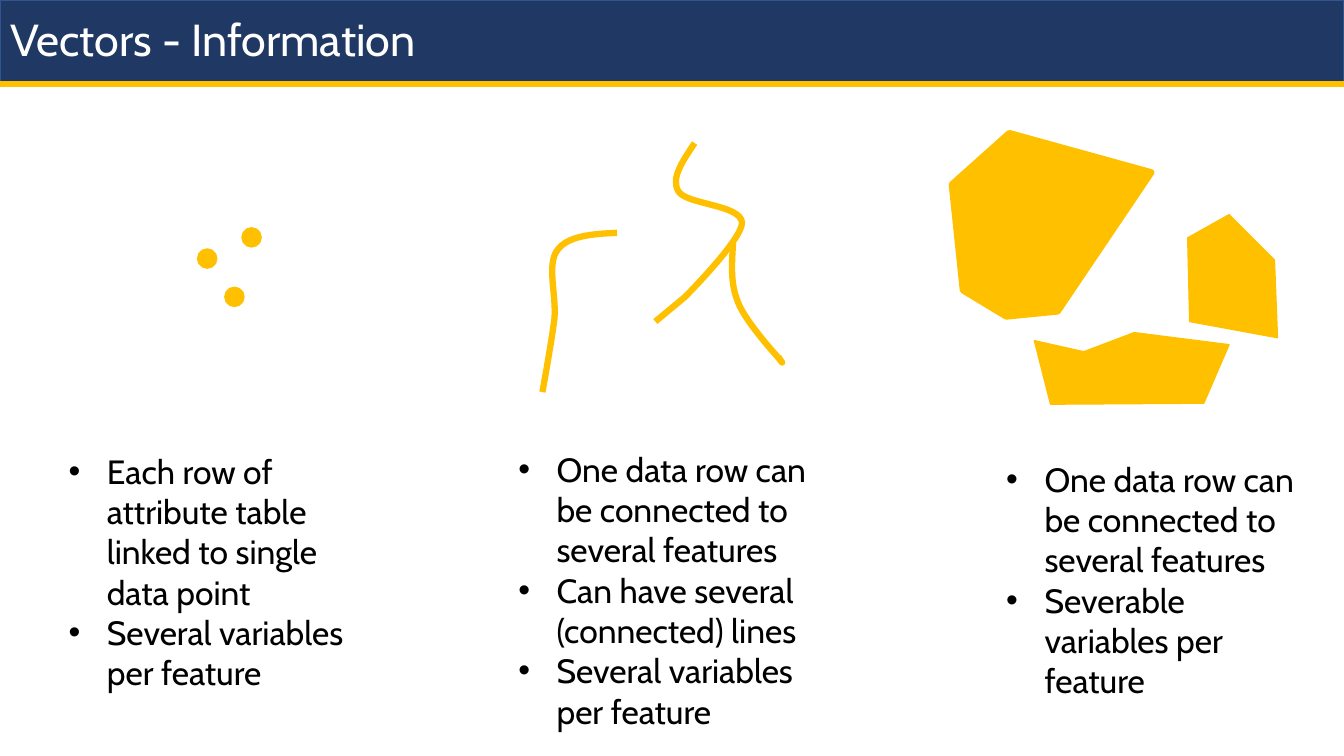
from lxml.etree import SubElement
from pptx import Presentation
from pptx.dml.color import RGBColor
from pptx.enum.shapes import MSO_CONNECTOR, MSO_SHAPE
from pptx.enum.text import MSO_ANCHOR, MSO_AUTO_SIZE, PP_ALIGN
from pptx.oxml.ns import qn
from pptx.util import Inches, Pt

NAVY, NAVY_EDGE, GOLD = "203864", "325491", "FFC000"
WHITE, BLACK = "FFFFFF", "000000"
SLIDE_W, SLIDE_H = 13.33, 7.5

DOTS = [(0.44, 0), (0, 0.21), (0.27, 0.59)]
CURVES = [
    [(1.51, 0), (1.39, 0.18), (1.27, 0.35), (1.35, 0.48),
     (1.43, 0.61), (1.97, 0.61), (1.98, 0.79),
     (1.98, 0.96), (1.41, 1.53), (1.41, 1.53),
     (1.41, 1.53), (1.12, 1.77), (1.12, 1.77)],
    [(0.74, 0.89), (0.5, 0.9), (0.25, 0.92), (0.15, 1.06),
     (0.04, 1.2), (0.14, 1.51), (0.12, 1.74),
     (0.09, 1.98), (0, 2.47), (0, 2.47)],
    [(1.89, 0.99), (1.88, 1.19), (1.86, 1.39), (1.94, 1.58),
     (2.01, 1.77), (2.34, 2.13), (2.34, 2.13),
     (2.41, 2.22), (2.37, 2.17), (2.34, 2.12)],
]
POLYGONS = [
    (4.5, [(0.57, 0), (0, 0.51), (0.11, 1.56), (0.54, 1.82), (1.05, 1.77), (1.98, 0.39)]),
    (1, [(2.34, 1.04), (2.75, 0.81), (3.2, 1.26), (3.23, 2.03), (2.36, 1.87)]),
    (1, [(0.82, 2.06), (1.31, 2.17), (1.81, 1.98), (2.75, 2.1), (2.5, 2.68), (0.98, 2.69)]),
]
LISTS = [
    (1, (0.58, 4.42, 3.08, 2.52),
     ["Each row of attribute table linked to single data point",
      "Several variables per feature"]),
    (2, (5.04, 4.4, 3.08, 3.33),
     ["One data row can be connected to several features",
      "Can have several (connected) lines",
      "Several variables per feature"]),
    (4, (9.88, 4.5, 3.08, 2.52),
     ["One data row can be connected to several features",
      "Severable variables per feature"]),
]


def color(value):
    """Turn a hex string into a colour."""
    return RGBColor.from_string(value)


def place(shape, left, top, width, height):
    """Move and size a shape, in inches."""
    shape.left, shape.top = Inches(left), Inches(top)
    shape.width, shape.height = Inches(width), Inches(height)


def paint(shape, fill, line, width=1):
    """Set fill and outline and drop the shadow."""
    shape.shadow.inherit = False
    if fill:
        shape.fill.solid()
        shape.fill.fore_color.rgb = color(fill)
    else:
        shape.fill.background()
    shape.line.color.rgb = color(line)
    shape.line.width = Pt(width)


def write(p, text, size=24, fill=BLACK, spacing=1.0):
    """Write one formatted run in a paragraph."""
    p.alignment = PP_ALIGN.LEFT
    p.line_spacing = spacing
    p.space_before = Pt(0)
    r = p.add_run()
    r.text = text
    r.font.name, r.font.size, r.font.bold = "Cabin", Pt(size), False
    r.font.color.rgb = color(fill)


def add_bullet(p, indent=0.38):
    """Give a paragraph a hanging round bullet."""
    pPr = p._p.get_or_add_pPr()
    pPr.set("marL", str(Inches(indent)))
    pPr.set("indent", str(-Inches(indent)))
    SubElement(pPr, qn("a:buFont")).set("typeface", "Arial")
    SubElement(pPr, qn("a:buChar")).set("char", "•")


def add_outline(s, left, top, points, close):
    """Draw a freeform through points relative to a corner."""
    spots = [(Inches(left + x), Inches(top + y)) for x, y in points]
    builder = s.shapes.build_freeform(*spots[0])
    builder.add_line_segments(spots[1:], close=close)
    return builder.convert_to_shape()


def bend(shape):
    """Turn each three line segments into one cubic curve."""
    segments = list(shape.element.iter(qn("a:lnTo")))
    for first, second, third in zip(*[iter(segments)] * 3):
        first.tag = qn("a:cubicBezTo")
        for segment in (second, third):
            first.append(segment[0])
            segment.getparent().remove(segment)


def add_header(s, left, top, width, height):
    """Place the title bar with its gold rule."""
    bar = s.shapes.add_shape(MSO_SHAPE.RECTANGLE, Inches(left), Inches(top),
                             Inches(width), Inches(height))
    paint(bar, NAVY, NAVY_EDGE)
    title = s.shapes.title
    title.element.addprevious(bar.element)
    place(title, left, top + 0.09, width + 0.53, 0.65)
    tf = title.text_frame
    tf.vertical_anchor = MSO_ANCHOR.MIDDLE
    tf.auto_size = MSO_AUTO_SIZE.NONE
    write(tf.paragraphs[0], "Vectors - Information", size=32, fill=WHITE, spacing=0.9)
    bottom = Inches(top + height)
    rule = s.shapes.add_connector(MSO_CONNECTOR.STRAIGHT, Inches(left), bottom,
                                  Inches(left + width), bottom)
    rule.line.color.rgb = color(GOLD)
    rule.line.width = Pt(4.5)
    SubElement(rule.element.spPr, qn("a:effectLst"))


def add_dots(s, left, top, size):
    """Place the point features."""
    for x, y in DOTS:
        dot = s.shapes.add_shape(MSO_SHAPE.OVAL, Inches(left + x), Inches(top + y),
                                 Inches(size), Inches(size))
        paint(dot, GOLD, GOLD)


def add_curves(s, left, top):
    """Place the line features."""
    for points in CURVES:
        curve = add_outline(s, left, top, points, close=False)
        bend(curve)
        paint(curve, None, GOLD, 4.5)


def add_polygons(s, left, top):
    """Place the polygon features."""
    for width, points in POLYGONS:
        paint(add_outline(s, left, top, points, close=True), GOLD, GOLD, width)


def add_list(body, box, items):
    """Fill a body placeholder with bullets."""
    place(body, *box)
    tf = body.text_frame
    tf.word_wrap = True
    tf.vertical_anchor = MSO_ANCHOR.TOP
    tf.auto_size = MSO_AUTO_SIZE.SHAPE_TO_FIT_TEXT
    for i, item in enumerate(items):
        p = tf.add_paragraph() if i else tf.paragraphs[0]
        add_bullet(p)
        write(p, item)


def main():
    """Build and save the slide."""
    prs = Presentation()
    prs.slide_width, prs.slide_height = Inches(SLIDE_W), Inches(SLIDE_H)
    s = prs.slides.add_slide(prs.slide_layouts.get_by_name("Comparison"))
    add_header(s, 0, 0, SLIDE_W, 0.83)
    add_dots(s, 1.96, 2.26, 0.19)
    add_curves(s, 5.38, 1.42)
    add_polygons(s, 9.44, 1.32)
    bodies = {body.placeholder_format.idx: body for body in s.placeholders}
    for idx, box, items in LISTS:
        add_list(bodies[idx], box, items)
    unused = bodies[3].element
    unused.getparent().remove(unused)
    prs.save("out.pptx")


if __name__ == "__main__":
    main()
